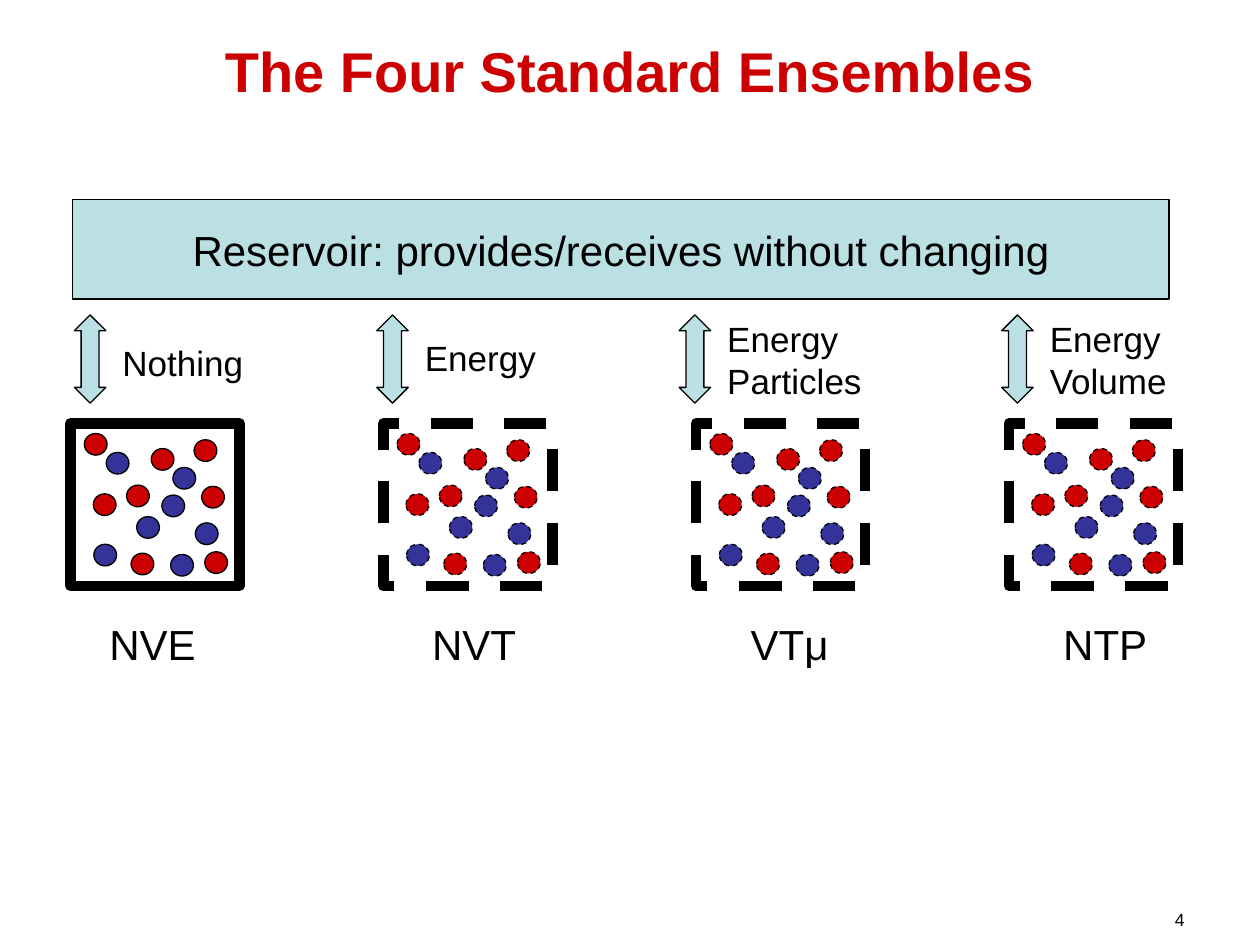
from dataclasses import dataclass

import pptx
import pptx.dml.color
import pptx.enum.dml
import pptx.enum.shapes
import pptx.enum.text
import pptx.util

Pt = pptx.util.Pt
MSO = pptx.enum.shapes.MSO_SHAPE
ALIGN = pptx.enum.text.PP_ALIGN
ANCHOR = pptx.enum.text.MSO_ANCHOR
DASH = pptx.enum.dml.MSO_LINE.DASH

BLACK, RED, BLUE, PALE = "000000", "CC0000", "333399", "BBE0E3"
BOX_LEFT, BOX_STEP, BOX_TOP = 40.3, 178.75, 241.9
BOX_W, BOX_H = 96.6, 92.9
DOT_W, DOT_H = 13, 12.4


@dataclass(frozen=True)
class Particle:
    x: float
    y: float
    color: str


@dataclass(frozen=True)
class Ensemble:
    name: str
    name_x: float
    name_w: float
    arrow_x: float
    exchanged: tuple[str, ...]
    label_y: float
    label_w: float
    closed: bool = False


# Particle positions are relative to the corner of their box.
PARTICLES = [
    Particle(20.4, 16.6, BLUE), Particle(32, 35.3, RED),
    Particle(58.5, 25.2, BLUE), Particle(37.8, 53.3, BLUE),
    Particle(13.3, 69.1, BLUE), Particle(46.1, 14.4, RED),
    Particle(71.3, 56.9, BLUE), Particle(57.2, 74.9, BLUE),
    Particle(13, 40.3, RED), Particle(74.9, 36, RED),
    Particle(70.6, 9.4, RED), Particle(34.6, 74.2, RED),
    Particle(7.9, 5.8, RED), Particle(52.2, 41, BLUE),
    Particle(76.7, 73.4, RED),
]

ENSEMBLES = [
    Ensemble("NVE", 55.4, 64, 42.5, ("Nothing",), 191.5, 83.5, closed=True),
    Ensemble("NVT", 239.8, 62.6, 215.3, ("Energy",), 188.6, 77.8),
    Ensemble("VTμ", 421.9, 59, 388.1, ("Energy", "Particles"), 177.8, 91.4),
    Ensemble("NTP", 600.5, 62.6, 572.4, ("Energy", "Volume"), 177.8, 82.1),
]


def rgb(color: str) -> pptx.dml.color.RGBColor:
    return pptx.dml.color.RGBColor.from_string(color)


def write(sp, lines, size, color=BLACK, bold=False, align=ALIGN.LEFT,
          anchor=ANCHOR.TOP, wrap=False) -> None:
    tf = sp.text_frame
    tf.word_wrap = wrap
    tf.vertical_anchor = anchor
    for i, line in enumerate(lines):
        p = tf.paragraphs[0] if i == 0 else tf.add_paragraph()
        p.text = line
        p.alignment = align
        p.font.name = "Arial"
        p.font.size = Pt(size)
        p.font.bold = bold
        p.font.color.rgb = rgb(color)


def add_text(s, x: float, y: float, w: float, h: float, lines, size, **style):
    sp = s.shapes.add_textbox(Pt(x), Pt(y), Pt(w), Pt(h))
    write(sp, lines, size, **style)
    return sp


def add_shape(parent, kind, x: float, y: float, w: float, h: float,
              fill: str | None = None, line: float = 0.75,
              dashed: bool = False):
    sp = parent.shapes.add_shape(kind, Pt(x), Pt(y), Pt(w), Pt(h))
    sp.shadow.inherit = False
    if fill:
        sp.fill.solid()
        sp.fill.fore_color.rgb = rgb(fill)
    else:
        sp.fill.background()
    sp.line.color.rgb = rgb(BLACK)
    sp.line.width = Pt(line)
    if dashed:
        sp.line.dash_style = DASH.DASH
    return sp


def draw_box(s, x: float, dashed: bool) -> None:
    """Draw one group: the container wall and its particles."""
    group = s.shapes.add_group_shape()
    add_shape(group, MSO.RECTANGLE, x, BOX_TOP, BOX_W, BOX_H,
              line=6, dashed=dashed)
    for dot in PARTICLES:
        add_shape(group, MSO.OVAL, x + dot.x, BOX_TOP + dot.y, DOT_W, DOT_H,
                  fill=dot.color, dashed=dashed)


def draw_ensemble(s, e: Ensemble, box_x: float) -> None:
    arrow = add_shape(s, MSO.UP_DOWN_ARROW, e.arrow_x, 180, 18, 50.4, PALE)
    arrow.adjustments[0] = 0.5
    arrow.adjustments[1] = 0.57
    label_h = 7 + 24 * len(e.exchanged)
    add_text(s, e.arrow_x + 20.4, e.label_y, e.label_w, label_h,
             e.exchanged, 20)
    draw_box(s, box_x, dashed=not e.closed)
    add_text(s, e.name_x, 349.9, e.name_w, 36, [e.name], 24)


def main() -> None:
    prs = pptx.Presentation()
    prs.slide_width, prs.slide_height = Pt(720), Pt(540)
    s = prs.slides.add_slide(prs.slide_layouts[6])

    add_text(s, 0, 0, 720, 80.6, ["The Four Standard Ensembles"], 32,
             color=RED, bold=True, align=ALIGN.CENTER, anchor=ANCHOR.MIDDLE,
             wrap=True)
    reservoir = add_shape(s, MSO.RECTANGLE, 41.6, 113.9, 626.4, 57, PALE)
    write(reservoir, ["Reservoir: provides/receives without changing"], 24,
          align=ALIGN.CENTER, anchor=ANCHOR.MIDDLE)
    for i, e in enumerate(ENSEMBLES):
        draw_ensemble(s, e, BOX_LEFT + i * BOX_STEP)
    add_text(s, 516.2, 516.2 - 12.2, 167.8, 25.2, ["4"], 10, align=ALIGN.RIGHT,
             anchor=ANCHOR.TOP, wrap=True).text_frame.margin_top = Pt(15.5)

    prs.save("out.pptx")


if __name__ == "__main__":
    main()
